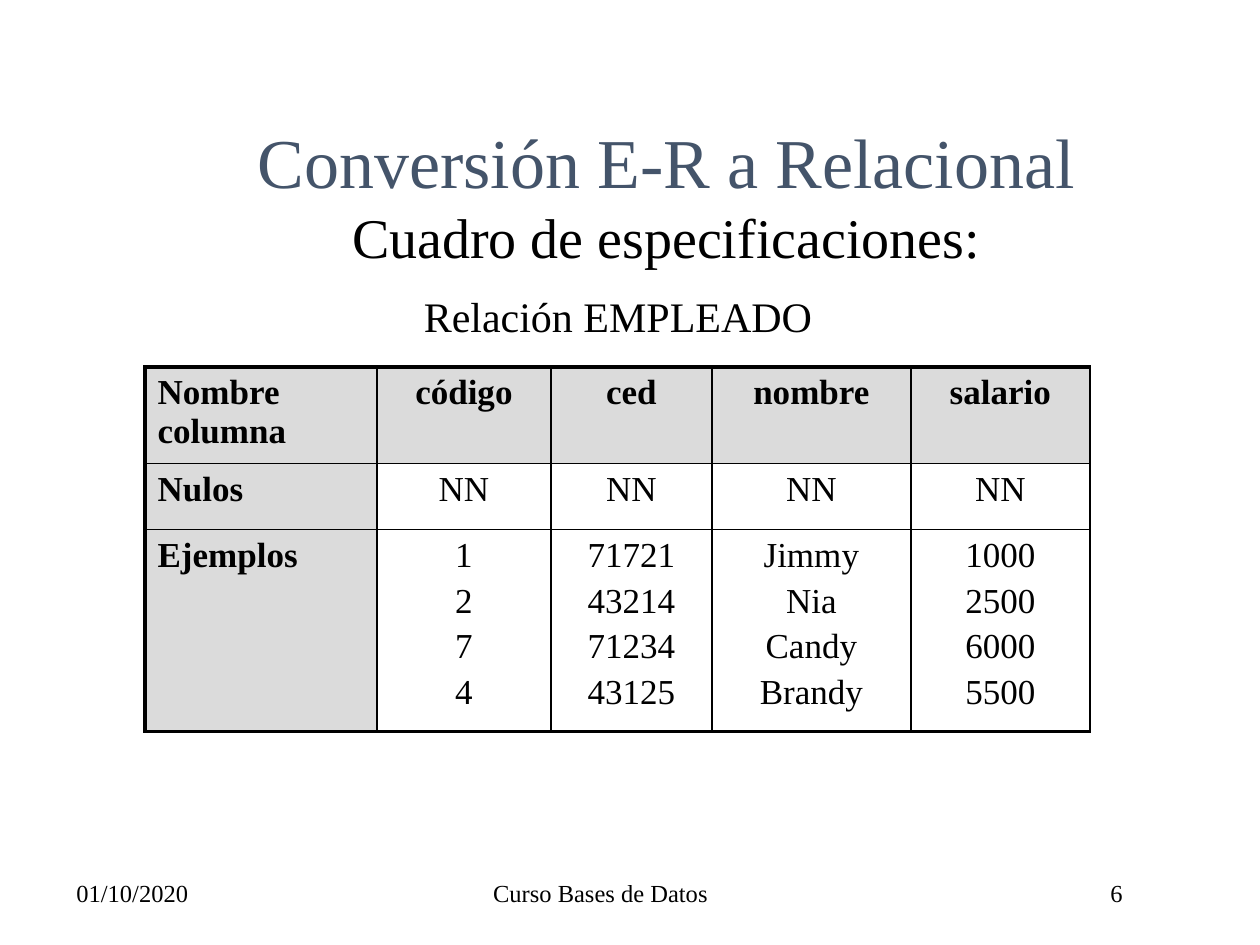
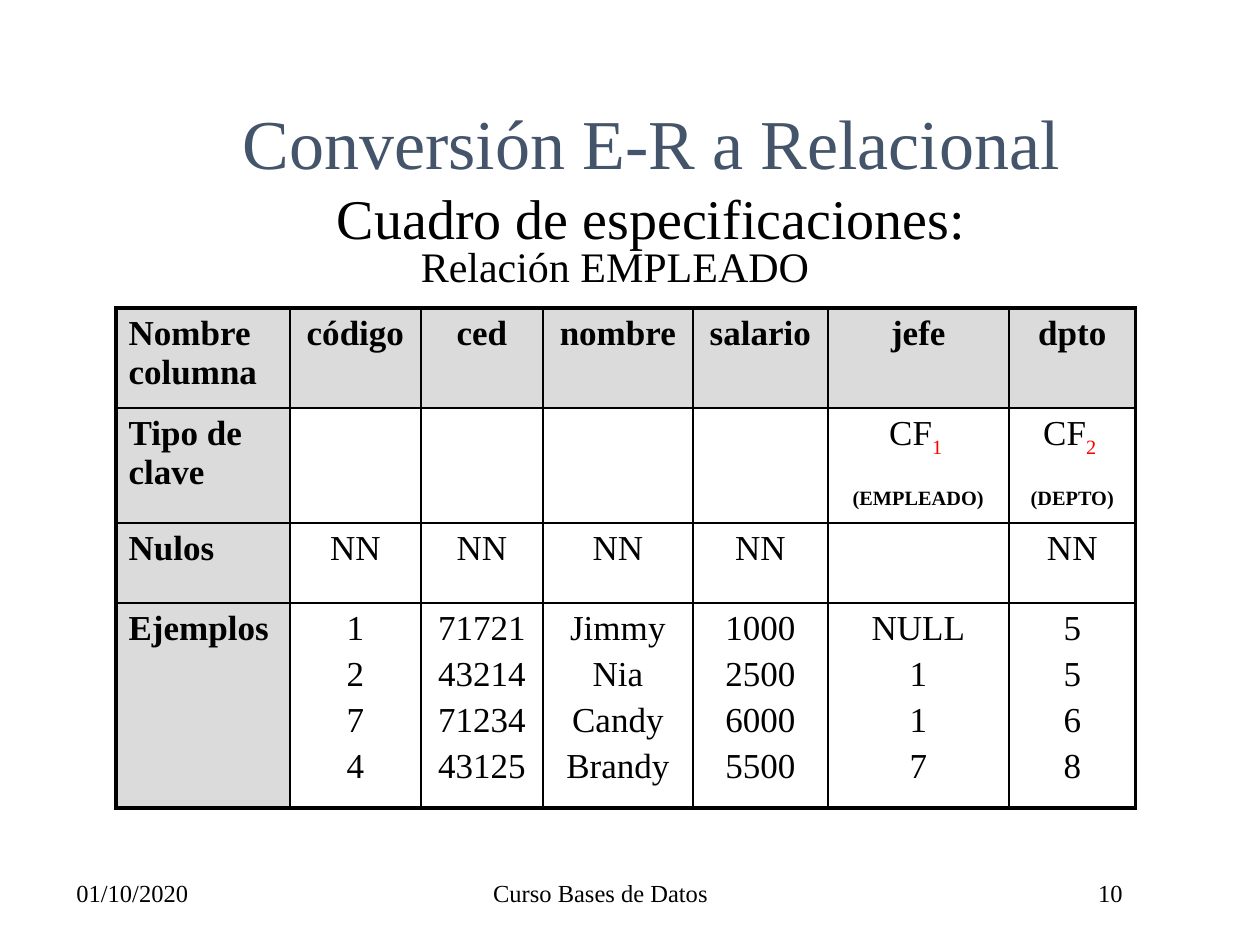
import pptx
import pptx.util
import pptx.dml.color
import pptx.enum.text
import pptx.oxml
import pptx.oxml.ns

SCALE = 914400 / 126
FONT = "Times New Roman"
COLORS = {"title": "44546A", "text": "000000", "head": "DBDBDB", "key": "FF0000"}
ALIGN = pptx.enum.text.PP_ALIGN
ANCHOR = pptx.enum.text.MSO_ANCHOR
THIN, THICK = 1, 2.25

# Table contents
NAMES = ["código", "ced", "nombre", "salario"]
ROWS = [
    ["1", "71721", "Jimmy", "1000"],
    ["2", "43214", "Nia", "2500"],
    ["7", "71234", "Candy", "6000"],
    ["4", "43125", "Brandy", "5500"],
]
SAMPLES = ["\n".join(col) for col in zip(*ROWS)]
HEAD = ["Nombre columna"] + NAMES
NULLS = ["Nulos"] + ["NN"] * 4
CASES = ["Ejemplos"] + SAMPLES


def px(num):
    return round(num * SCALE)


def rgb(name):
    return pptx.dml.color.RGBColor.from_string(COLORS[name])


def add_run(para, text, size, color="text", bold=False, sub=False):
    run = para.add_run()
    run.text = text
    font = run.font
    font.name, font.size, font.bold = FONT, pptx.util.Pt(size), bold
    font.color.rgb = rgb(color)
    if sub:
        run._r.get_or_add_rPr().set("baseline", "-25000")


def add_text(slide, box, text, size, align, anchor):
    frame = slide.shapes.add_textbox(*map(px, box)).text_frame
    frame.word_wrap = True
    frame.vertical_anchor = anchor
    para = frame.paragraphs[0]
    para.alignment = align
    add_run(para, text, size)


def set_title(slide, box):
    title = slide.shapes.title
    title.left, title.top, title.width, title.height = map(px, box)
    frame = title.text_frame
    frame.auto_size = pptx.enum.text.MSO_AUTO_SIZE.NONE
    frame.word_wrap = True
    frame.vertical_anchor = ANCHOR.MIDDLE
    para = frame.paragraphs[0]
    para.alignment = ALIGN.CENTER
    add_run(para, "Conversión E-R a Relacional", 40, "title")
    para.add_line_break()
    add_run(para, "Cuadro de especificaciones:", 32)


def add_foot(slide, number):
    parts = [
        (64, 262, "01/10/2020", ALIGN.LEFT),
        (401, 399, "Curso Bases de Datos", ALIGN.CENTER),
        (873, 262, str(number), ALIGN.RIGHT),
    ]
    for left, width, text, align in parts:
        add_text(slide, (left, 861, width, 63), text, 14, align, ANCHOR.MIDDLE)


def set_edge(cell, tag, width):
    line = pptx.oxml.parse_xml(
        f'<a:{tag} {pptx.oxml.ns.nsdecls("a")} w="{pptx.util.Pt(width)}">'
        f'<a:solidFill><a:srgbClr val="{COLORS["text"]}"/></a:solidFill></a:{tag}>'
    )
    cell._tc.get_or_add_tcPr().append(line)


def fill_cell(cell, text, head, side):
    """A tuple holds a foreign key: its number and the table it points to."""
    frame = cell.text_frame
    lines = text if isinstance(text, tuple) else text.split("\n")
    for i, line in enumerate(lines):
        para = frame.add_paragraph() if i else frame.paragraphs[0]
        para.alignment = ALIGN.LEFT if side else ALIGN.CENTER
        para.space_before = pptx.util.Pt(4 if i else 0)
        if lines is not text:
            if line:
                add_run(para, line, 20, bold=head)
            else:
                para.font.size = pptx.util.Pt(20)
        elif i:
            add_run(para, line, 20, bold=True, sub=True)
        else:
            add_run(para, "CF", 20)
            add_run(para, line + " ", 20, "key", sub=True)


def add_grid(slide, left, top, widths, heights, data, right):
    box = (left, top, sum(widths), sum(heights))
    table = slide.shapes.add_table(len(data), len(widths), *map(px, box)).table
    table.first_row = table.horz_banding = False
    for col, width in zip(table.columns, widths):
        col.width = px(width)
    for row, height in zip(table.rows, heights):
        row.height = px(height)
    for r, texts in enumerate(data):
        for c, text in enumerate(texts):
            cell = table.cell(r, c)
            head = r == 0 or c == 0
            fill_cell(cell, text, head, c == 0)
            # Borders come before the fill in the cell's properties
            set_edge(cell, "lnL", THICK if c == 0 else THIN)
            set_edge(cell, "lnR", right if c == len(widths) - 1 else THIN)
            set_edge(cell, "lnT", THICK if r == 0 else THIN)
            set_edge(cell, "lnB", THICK if r == len(data) - 1 else THIN)
            if head:
                cell.fill.solid()
                cell.fill.fore_color.rgb = rgb("head")
            else:
                cell.fill.background()


def add_page(deck, number, title, label, grid):
    slide = deck.slides.add_slide(deck.slide_layouts[5])
    add_foot(slide, number)
    add_grid(slide, *grid)
    set_title(slide, (*title, 1071, 158))
    add_text(slide, (*label, 774, 63), "Relación EMPLEADO", 24, ALIGN.CENTER, ANCHOR.TOP)


deck = pptx.Presentation()
deck.slide_width, deck.slide_height = px(1260), px(945)

# Basic relation
basic = [HEAD, NULLS, CASES]
add_page(deck, 6, (131, 115), (231, 284),
         (145, 367, [232, 174, 161, 199, 179], [91, 66, 190], basic, THIN))

# Relation with foreign keys
full = [
    HEAD + ["jefe", "dpto"],
    ["Tipo de clave"] + [""] * 4 + [("1", "(EMPLEADO)"), ("2", "(DEPTO)")],
    NULLS + ["", "NN"],
    CASES + ["NULL\n1\n1\n7", "5\n5\n6\n8"],
]
add_page(deck, 10, (116, 96), (228, 234),
         (116, 308, [174, 131, 122, 150, 135, 181, 127], [100, 109, 80, 205], full, THICK))

deck.save("out.pptx")
